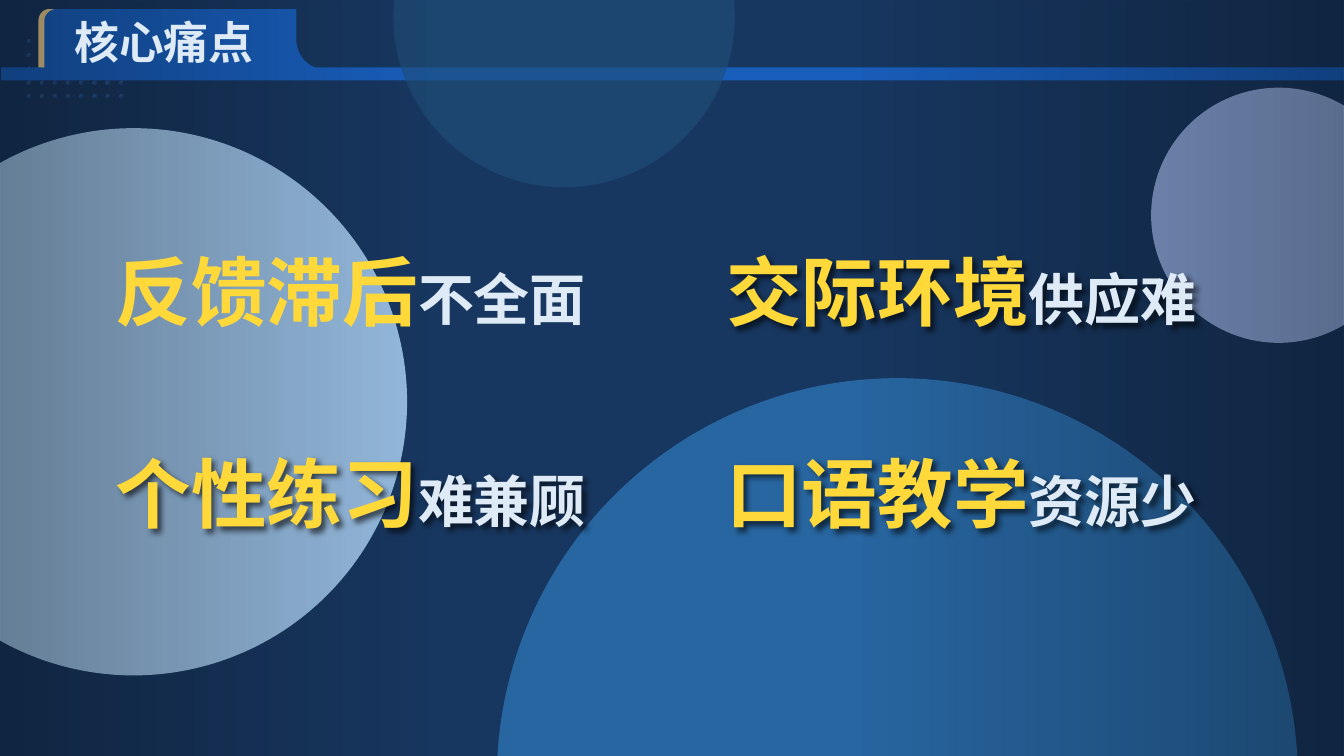
from itertools import product

from lxml import etree
from pptx import Presentation
from pptx import util as u
from pptx.dml.color import RGBColor
from pptx.enum import shapes, text
from pptx.oxml import ns

COLORS = {
    "navy": "052653", "dot": "428EF4", "sand": "E2C68C", "blue": "195EBB",
    "pale": "9DC3E6", "ocean": "2E75B6", "lilac": "8FAADC", "deep": "1F4E79",
    "black": "000000", "yellow": "FFD83A", "ice": "DEEBF7",
}
FONT = "Noto Sans CJK SC"
WIDTH, HEIGHT = 33.87, 19.05


def add_node(parent, tag, **attributes):
    return etree.SubElement(parent, ns.qn(tag), attributes)


def add_color(parent, color, alpha):
    node = add_node(parent, "a:srgbClr", val=COLORS[color])
    add_node(node, "a:alpha", val=str(alpha * 1000))


def bezier(start, first, second, end, steps=16):
    for step in range(1, steps + 1):
        t = step / steps
        weights = ((1 - t) ** 3, 3 * t * (1 - t) ** 2, 3 * t * t * (1 - t), t ** 3)
        yield tuple(sum(w * point[axis] for w, point in zip(weights, (start, first, second, end)))
                    for axis in (0, 1))


class Slide:
    def __init__(self, page):
        self.page = page

    def paint(self, shape, color, alpha=100):
        shape.shadow.inherit = False
        shape.line.fill.background()
        shape.fill.solid()
        shape.fill.fore_color.rgb = RGBColor.from_string(COLORS[color])
        if alpha < 100:
            node = shape.fill._xPr.find(".//" + ns.qn("a:srgbClr"))
            add_node(node, "a:alpha", val=str(alpha * 1000))

    def shape(self, kind, left, top, width, height, color, alpha=100):
        shape = self.page.shapes.add_shape(kind, u.Cm(left), u.Cm(top), u.Cm(width), u.Cm(height))
        self.paint(shape, color, alpha)
        return shape

    def gradient(self, shape, color, stops, angle):
        solid = shape.element.spPr.find(ns.qn("a:solidFill"))
        fill = etree.Element(ns.qn("a:gradFill"), rotWithShape="1")
        stop_list = add_node(fill, "a:gsLst")
        for position, alpha in stops:
            add_color(add_node(stop_list, "a:gs", pos=str(position * 1000)), color, alpha)
        add_node(fill, "a:lin", ang=str(angle * 60000), scaled="0")
        solid.getparent().replace(solid, fill)

    def tab(self, left, corner, shoulder, tip, color):
        top, low, bend, bottom = 0.23, 0.53, 0.99, 1.75
        reach = tip - shoulder
        points = [(shoulder, top), (shoulder, bend)]
        points += bezier((shoulder, bend), (shoulder, 1.42),
                         (shoulder + reach * 0.45, bottom), (tip, bottom))
        points += [(left, bottom), (left, low)]
        points += bezier((left, low), (left, 0.36), (corner - 0.15, top), (corner, top))
        builder = self.page.shapes.build_freeform(u.Cm(corner), u.Cm(top))
        builder.add_line_segments([(u.Cm(x), u.Cm(y)) for x, y in points])
        self.paint(builder.convert_to_shape(), color)

    def label(self, left, top, width, height, spans, shadow=False):
        box = self.page.shapes.add_textbox(u.Cm(left), u.Cm(top), u.Cm(width), u.Cm(height))
        box.text_frame.word_wrap = True
        para = box.text_frame.paragraphs[0]
        para.alignment = text.PP_ALIGN.CENTER
        for words, size, color in spans:
            span = para.add_run()
            span.text = words
            span.font.size = u.Pt(size)
            span.font.bold = True
            span.font.name = FONT
            span.font.color.rgb = RGBColor.from_string(COLORS[color])
            add_node(span.font._element, "a:ea", typeface=FONT)
        if shadow:
            effects = add_node(box.element.spPr, "a:effectLst")
            shade = add_node(effects, "a:outerShdw", blurRad="50800", dist="38100",
                             dir="2700000", algn="tl", rotWithShape="0")
            add_color(shade, "black", 60)


def main():
    deck = Presentation()
    deck.slide_width, deck.slide_height = u.Cm(WIDTH), u.Cm(HEIGHT)
    slide = Slide(deck.slides.add_slide(deck.slide_layouts[6]))
    rectangle, oval = shapes.MSO_SHAPE.RECTANGLE, shapes.MSO_SHAPE.OVAL

    slide.shape(rectangle, 0, 0, WIDTH, HEIGHT, "navy", 92)
    for row, column in product(range(5), range(8)):
        dot = slide.shape(oval, 0.69 + column * 0.33, 0.99 + row * 0.35, 0.08, 0.08, "dot")
        slide.gradient(dot, "dot", [(0, 45), (100, 0)], 45)

    slide.tab(0.97, 1.24, 6.6, 7.24, "sand")
    slide.shape(rectangle, 0.03, 1.7, 33.84, 0.33, "blue")
    slide.tab(1.12, 1.42, 7.47, 8.2, "blue")

    for left, top, size, color, alpha in [
        (-3.53, 3.23, 13.79, "pale", 95),
        (12.52, 9.53, 20.19, "ocean", 76),
        (29.01, 2.21, 6.43, "lilac", 93),
        (9.91, -3.89, 8.61, "deep", 61),
    ]:
        slide.shape(oval, left, top, size, size, color, alpha)

    vignette = slide.shape(rectangle, 0, 0, WIDTH, HEIGHT, "black")
    slide.gradient(vignette, "black", [(0, 32), (36, 0), (68, 0), (100, 32)], 180)

    pain_points = [
        ("反馈滞后", "不全面", False), ("交际环境", "供应难", True),
        ("个性练习", "难兼顾", True), ("口语教学", "资源少", True),
    ]
    for index, (topic, problem, shadow) in enumerate(pain_points):
        row, column = divmod(index, 2)
        slide.label(1.55 + column * 15.39, 6.05 + row * 5.08, 14.58, 2.57,
                    [(topic, 54, "yellow"), (problem, 40, "ice")], shadow)
    slide.label(1.52, 0.25, 5.23, 1.63, [("核心痛点", 32, "ice")])

    deck.save("out.pptx")


if __name__ == "__main__":
    main()
